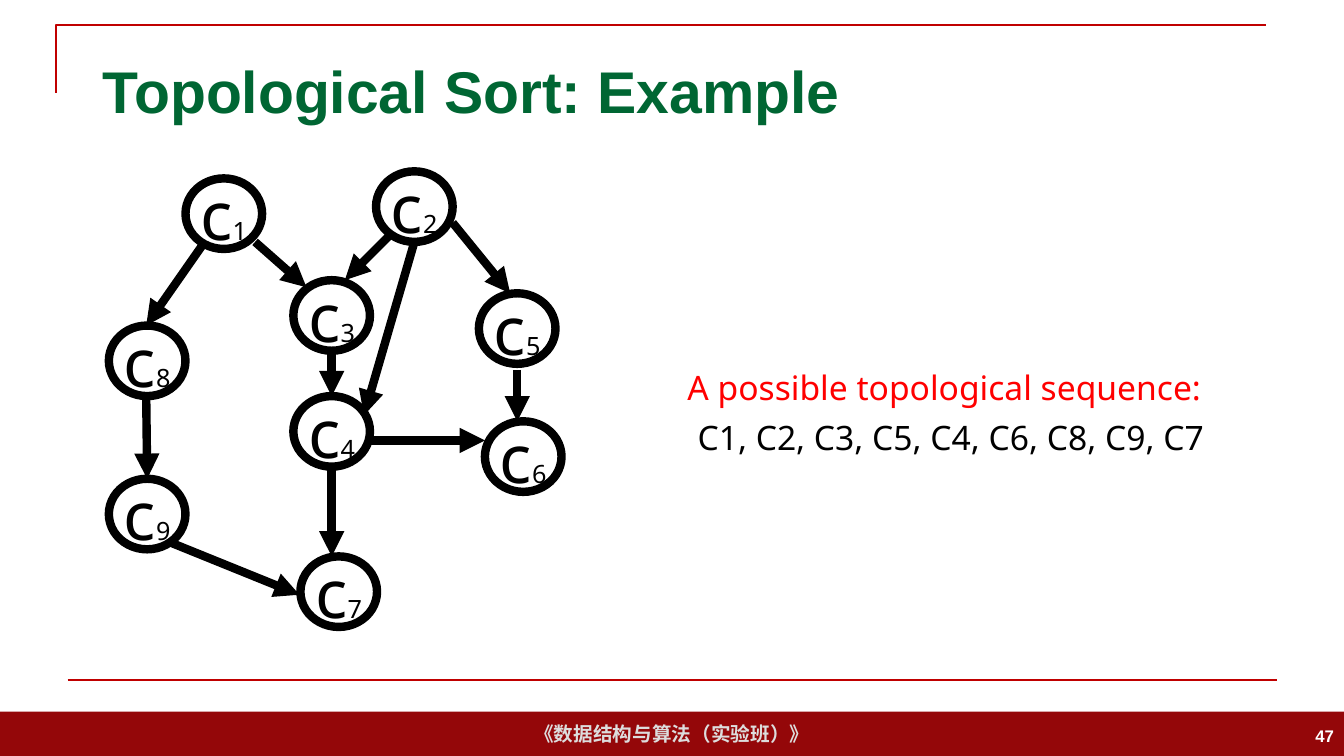
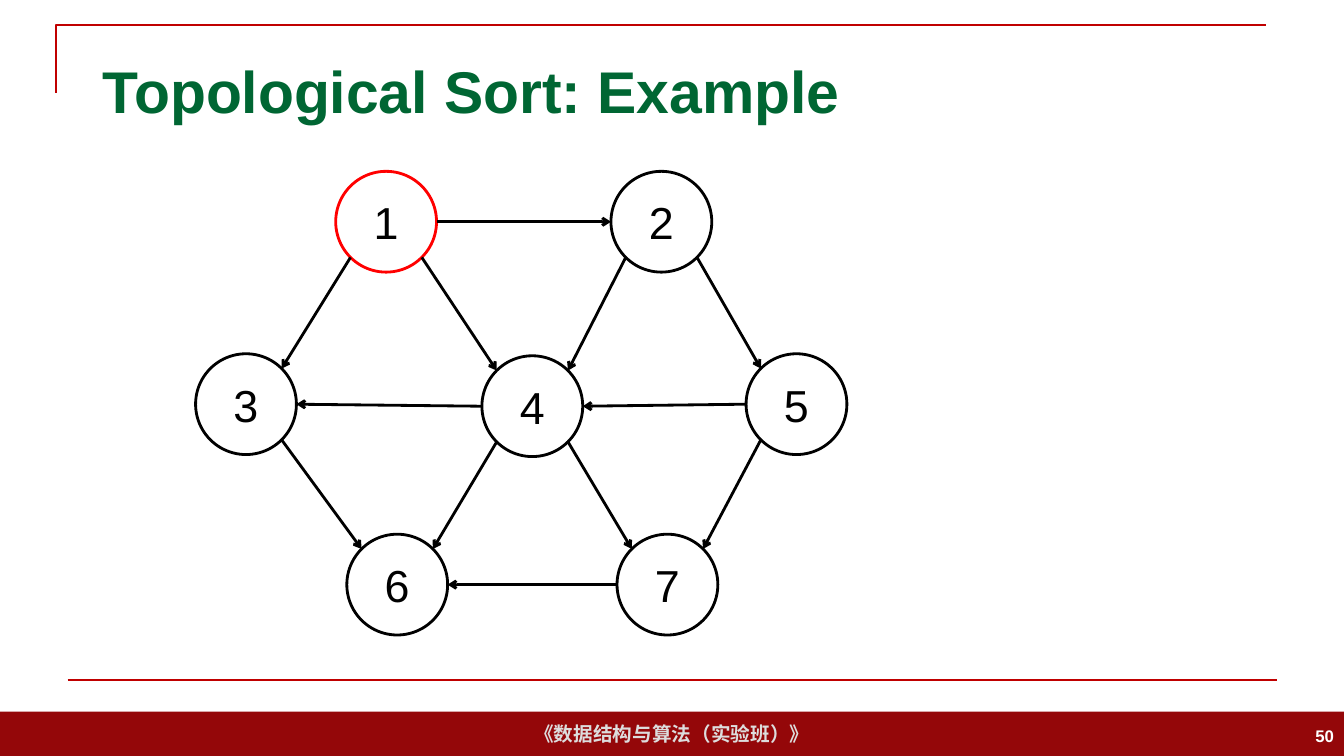
"""Build two slides showing topological sort examples."""
from dataclasses import dataclass
from math import copysign, hypot
from typing import NamedTuple

from lxml.etree import SubElement
from pptx import Presentation
from pptx.dml.color import RGBColor
from pptx.enum.shapes import MSO_CONNECTOR, MSO_SHAPE
from pptx.enum.text import MSO_ANCHOR, PP_ALIGN
from pptx.oxml.ns import qn
from pptx.presentation import Presentation as Deck
from pptx.shapes.base import BaseShape
from pptx.slide import Slide
from pptx.util import Inches, Pt


@dataclass(frozen=True)
class Theme:
    title: str = "006633"
    band: str = "940709"
    rule: str = "C00000"
    footer: str = "DDDDDD"
    page: str = "FFFFFF"
    ink: str = "000000"
    accent: str = "FF0000"
    sans: str = "Arial"
    graph: str = "Noto Sans"
    title_pt: float = 42
    footer_pt: float = 14
    page_pt: float = 12
    body_pt: float = 24
    letter_pt: float = 48
    index_pt: float = 18
    number_pt: float = 32
    rule_pt: float = 1.5
    thick_pt: float = 6
    thin_pt: float = 2


class Run(NamedTuple):
    text: str
    size: float
    color: str
    font: str
    bold: bool = False


class Box(NamedTuple):
    left: float
    top: float
    width: float
    height: float


class Point(NamedTuple):
    x: float
    y: float


class Edge(NamedTuple):
    start: Point
    end: Point


T = Theme()
COURSE_NODE = (0.76, 0.7)
COURSE_NODES = {
    "1": Point(1.84, 1.77), "2": Point(3.73, 1.7), "8": Point(1.08, 3.23),
    "9": Point(1.08, 4.75), "5": Point(4.75, 2.91), "3": Point(2.91, 2.78),
    "7": Point(2.98, 5.52), "4": Point(2.91, 3.93), "6": Point(4.81, 4.18),
}
COURSE_EDGES = (
    Edge(Point(2.53, 2.4), Point(3.04, 2.85)),
    Edge(Point(2.03, 2.4), Point(1.45, 3.23)),
    Edge(Point(1.45, 3.93), Point(1.46, 4.75)),
    Edge(Point(1.71, 5.39), Point(2.97, 5.9)),
    Edge(Point(3.29, 3.48), Point(3.29, 3.93)),
    Edge(Point(3.29, 4.63), Point(3.29, 5.52)),
    Edge(Point(3.67, 4.37), Point(4.81, 4.37)),
    Edge(Point(3.86, 2.34), Point(3.42, 2.78)),
    Edge(Point(4.49, 2.21), Point(5.06, 2.91)),
    Edge(Point(5.13, 3.67), Point(5.13, 4.18)),
    Edge(Point(4.11, 2.4), Point(3.61, 4.12)),
)
RADIUS = 0.5
NUMBER_CENTERS = {
    "1": Point(3.83, 2.2), "2": Point(6.56, 2.2), "3": Point(2.44, 4.01),
    "4": Point(5.28, 4.03), "5": Point(7.9, 4.01), "6": Point(3.94, 5.8),
    "7": Point(6.62, 5.8),
}
NUMBER_EDGES = ("12", "13", "14", "24", "25", "43", "54", "36", "46", "47", "57", "76")


def rgb(color: str) -> RGBColor:
    return RGBColor.from_string(color)


def write(s: BaseShape, *runs: Run, align: PP_ALIGN = PP_ALIGN.LEFT,
          anchor: MSO_ANCHOR = MSO_ANCHOR.MIDDLE, wrap: bool = True) -> None:
    tf = s.text_frame
    tf.word_wrap = wrap
    tf.vertical_anchor = anchor
    p = tf.paragraphs[0]
    p.alignment = align
    for run in runs:
        r = p.add_run()
        r.text = run.text
        r.font.size = Pt(run.size)
        r.font.name = run.font
        r.font.bold = run.bold
        r.font.color.rgb = rgb(run.color)


def add_text(slide: Slide, box: Box, run: Run, align: PP_ALIGN = PP_ALIGN.LEFT,
             anchor: MSO_ANCHOR = MSO_ANCHOR.MIDDLE) -> None:
    s = slide.shapes.add_textbox(*map(Inches, box))
    write(s, run, align=align, anchor=anchor)


def add_line(slide: Slide, edge: Edge, color: str, width: float, head: str = "") -> None:
    s = slide.shapes.add_connector(
        MSO_CONNECTOR.STRAIGHT, *map(Inches, (*edge.start, *edge.end)))
    s.line.color.rgb = rgb(color)
    s.line.width = Pt(width)
    sp = s.element.spPr
    if head:
        SubElement(sp.find(qn("a:ln")), qn("a:tailEnd"), type=head)
    SubElement(sp, qn("a:effectLst"))


def add_node(slide: Slide, box: Box, color: str, width: float, *runs: Run,
             wrap: bool = True) -> None:
    s = slide.shapes.add_shape(MSO_SHAPE.OVAL, *map(Inches, box))
    s.shadow.inherit = False
    s.fill.background()
    s.line.color.rgb = rgb(color)
    s.line.width = Pt(width)
    write(s, *runs, align=PP_ALIGN.CENTER, wrap=wrap)


def add_frame(prs: Deck, title: str, page: int) -> Slide:
    slide = prs.slides.add_slide(prs.slide_layouts[6])
    band = slide.shapes.add_shape(
        MSO_SHAPE.RECTANGLE, *map(Inches, (0, 7.06, 13.33, 0.44)))
    band.shadow.inherit = False
    band.fill.solid()
    band.fill.fore_color.rgb = rgb(T.band)
    band.line.fill.background()
    write(band, Run("《数据结构与算法（实验班）》", T.footer_pt, T.footer, T.sans, True),
          align=PP_ALIGN.CENTER, wrap=False)
    outline = slide.shapes.build_freeform(Inches(0.56), Inches(0.92))
    outline.add_line_segments(
        [(Inches(0.56), Inches(0.25)), (Inches(12.56), Inches(0.25))], close=False)
    corner = outline.convert_to_shape()
    corner.shadow.inherit = False
    corner.fill.background()
    corner.line.color.rgb = rgb(T.rule)
    corner.line.width = Pt(T.rule_pt)
    add_line(slide, Edge(Point(0.67, 6.75), Point(12.67, 6.75)), T.rule, T.rule_pt)
    add_text(slide, Box(0.92, 0.4, 11.5, 0.99),
             Run(title, T.title_pt, T.title, T.sans, True))
    add_text(slide, Box(10.33, 7.1, 3, 0.4),
             Run(str(page), T.page_pt, T.page, T.sans, True), align=PP_ALIGN.RIGHT)
    return slide


def link(start: Point, end: Point) -> Edge:
    dx = copysign(1, end.x - start.x)
    dy = 0 if abs(end.y - start.y) < 0.1 else copysign(1, end.y - start.y)
    reach = RADIUS / hypot(dx, dy)
    return Edge(Point(start.x + dx * reach, start.y + dy * reach),
                Point(end.x - dx * reach, end.y - dy * reach))


def add_course_slide(prs: Deck) -> None:
    slide = add_frame(prs, "Topological Sort: Example", 47)
    for index, corner in COURSE_NODES.items():
        add_node(slide, Box(*corner, *COURSE_NODE), T.ink, T.thick_pt,
                 Run("c", T.letter_pt, T.ink, T.graph),
                 Run(index, T.index_pt, T.ink, T.graph), wrap=False)
    for edge in COURSE_EDGES:
        add_line(slide, edge, T.ink, T.thick_pt, "triangle")
    add_text(slide, Box(6.82, 4.09, 5.97, 0.5),
             Run("C1, C2, C3, C5, C4, C6, C8, C9, C7", T.body_pt, T.ink, T.graph),
             anchor=MSO_ANCHOR.TOP)
    add_text(slide, Box(6.72, 3.59, 5.79, 0.5),
             Run("A possible topological sequence:", T.body_pt, T.accent, T.graph),
             anchor=MSO_ANCHOR.TOP)


def add_number_slide(prs: Deck) -> None:
    slide = add_frame(prs, "Topological Sort: Example", 50)
    for label, center in NUMBER_CENTERS.items():
        box = Box(center.x - RADIUS, center.y - RADIUS, 2 * RADIUS, 2 * RADIUS)
        add_node(slide, box, T.accent if label == "1" else T.ink, T.thin_pt,
                 Run(label, T.number_pt, T.ink, T.sans))
    for start, end in NUMBER_EDGES:
        add_line(slide, link(NUMBER_CENTERS[start], NUMBER_CENTERS[end]),
                 T.ink, T.thin_pt, "arrow")


def main() -> None:
    prs = Presentation()
    prs.slide_width, prs.slide_height = Inches(13.33), Inches(7.5)
    add_course_slide(prs)
    add_number_slide(prs)
    prs.save("out.pptx")


if __name__ == "__main__":
    main()
